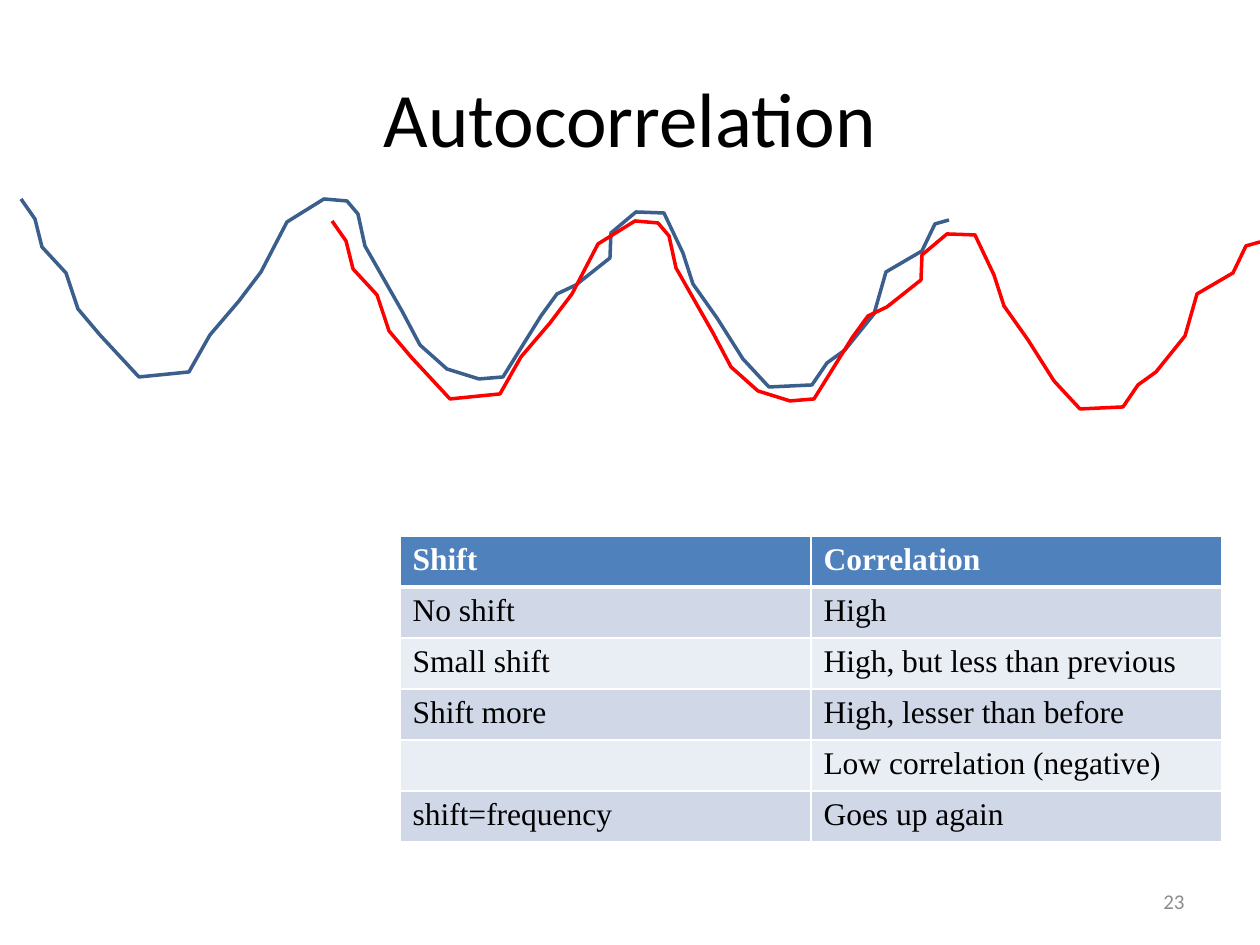
import dataclasses

import lxml.etree
import pptx
import pptx.dml.color
import pptx.enum.text
import pptx.oxml.ns
import pptx.util

RGB = pptx.dml.color.RGBColor
BLACK = RGB.from_string("000000")
WHITE = RGB.from_string("FFFFFF")
GRAY = RGB.from_string("8C8C8C")
SIGNAL_BLUE = RGB.from_string("3A5F8C")
SHIFTED_RED = RGB.from_string("FF0000")
HEADER_BLUE = RGB.from_string("4F81BD")
BANDS = (RGB.from_string("E9EDF4"), RGB.from_string("D0D8E8"))

EMU_PER_PX = 914400 / 126
ALIGN = pptx.enum.text.PP_ALIGN
MIDDLE = pptx.enum.text.MSO_ANCHOR.MIDDLE


@dataclasses.dataclass(frozen=True)
class Wave:
    color: pptx.dml.color.RGBColor
    shift_x: int
    shift_y: int


WAVES = (Wave(SIGNAL_BLUE, 0, 0), Wave(SHIFTED_RED, 311, 22))

# Turning points of the signal, one period a row
WAVE_POINTS = (
    (21, 199), (35, 219), (42, 247), (66, 273), (78, 309), (100, 335),
    (139, 377), (189, 372), (210, 335), (239, 301), (261, 272), (287, 222),
    (324, 199), (347, 201), (358, 214), (365, 246), (402, 311), (420, 345),
    (447, 369), (479, 379), (503, 377), (541, 316), (557, 294), (576, 285),
    (610, 258), (611, 233), (636, 212), (664, 213), (683, 253), (693, 284),
    (717, 318), (743, 359), (769, 387), (812, 385), (827, 363), (845, 350),
    (874, 314), (886, 272), (922, 251), (935, 224), (949, 220),
)

CORRELATIONS = (
    ("Shift", "Correlation"),
    ("No shift", "High"),
    ("Small shift", "High, but less than previous"),
    ("Shift more", "High, lesser than before"),
    ("", "Low correlation (negative)"),
    ("shift=frequency", "Goes up again"),
)


def px(length: int) -> pptx.util.Emu:
    return pptx.util.Emu(round(length * EMU_PER_PX))


def set_text(frame, text: str, align, color, **font_values) -> None:
    paragraph = frame.paragraphs[0]
    paragraph.alignment = align
    if not text:
        paragraph.font.size = font_values["size"]
        return
    run = paragraph.add_run()
    run.text = text
    for name, value in font_values.items():
        setattr(run.font, name, value)
    run.font.color.rgb = color


def add_border(cell, side: str, points: int) -> None:
    properties = cell._tc.get_or_add_tcPr()
    qn = pptx.oxml.ns.qn
    line = lxml.etree.SubElement(
        properties, qn(f"a:ln{side}"), w=str(pptx.util.Pt(points)))
    fill = lxml.etree.SubElement(line, qn("a:solidFill"))
    lxml.etree.SubElement(fill, qn("a:srgbClr"), val=str(WHITE))


def add_wave(slide, wave: Wave) -> None:
    points = [(x + wave.shift_x, y + wave.shift_y) for x, y in WAVE_POINTS]
    builder = slide.shapes.build_freeform(*points[0], scale=EMU_PER_PX)
    builder.add_line_segments(points[1:], close=False)
    curve = builder.convert_to_shape()
    curve.shadow.inherit = False
    curve.fill.background()
    curve.line.color.rgb = wave.color
    curve.line.width = pptx.util.Pt(2)


def add_correlations(slide) -> None:
    table = slide.shapes.add_table(
        len(CORRELATIONS), 2, px(400), px(536), px(822), px(306)).table
    for row_index, row in enumerate(CORRELATIONS):
        table.rows[row_index].height = px(51)
        header = row_index == 0
        for column_index, text in enumerate(row):
            cell = table.cell(row_index, column_index)
            widths = {"L": 1, "R": 1, "T": 3 if row_index == 1 else 1,
                      "B": 3 if header else 1}
            for side, points in widths.items():
                add_border(cell, side, points)
            cell.fill.solid()
            cell.fill.fore_color.rgb = HEADER_BLUE if header else BANDS[row_index % 2]
            set_text(cell.text_frame, text, ALIGN.LEFT, WHITE if header else BLACK,
                     size=pptx.util.Pt(18), name="Times New Roman", bold=header)


presentation = pptx.Presentation()
presentation.slide_width, presentation.slide_height = px(1260), px(945)
slide = presentation.slides.add_slide(presentation.slide_layouts[5])

# Title
heading = slide.shapes.title
for name, value in {"left": 63, "top": 38, "width": 1134, "height": 157}.items():
    setattr(heading, name, px(value))
heading.text_frame.vertical_anchor = MIDDLE
set_text(heading.text_frame, "Autocorrelation", ALIGN.CENTER, BLACK,
         size=pptx.util.Pt(44), name="Calibri")

# Slide number
page_number = slide.shapes.add_textbox(px(903), px(876), px(294), px(50)).text_frame
page_number.word_wrap = True
page_number.vertical_anchor = MIDDLE
set_text(page_number, "23", ALIGN.RIGHT, GRAY, size=pptx.util.Pt(12), name="Calibri")

# Correlation by shift
add_correlations(slide)

# Signal and its shifted twin
for wave in WAVES:
    add_wave(slide, wave)

presentation.save("out.pptx")
